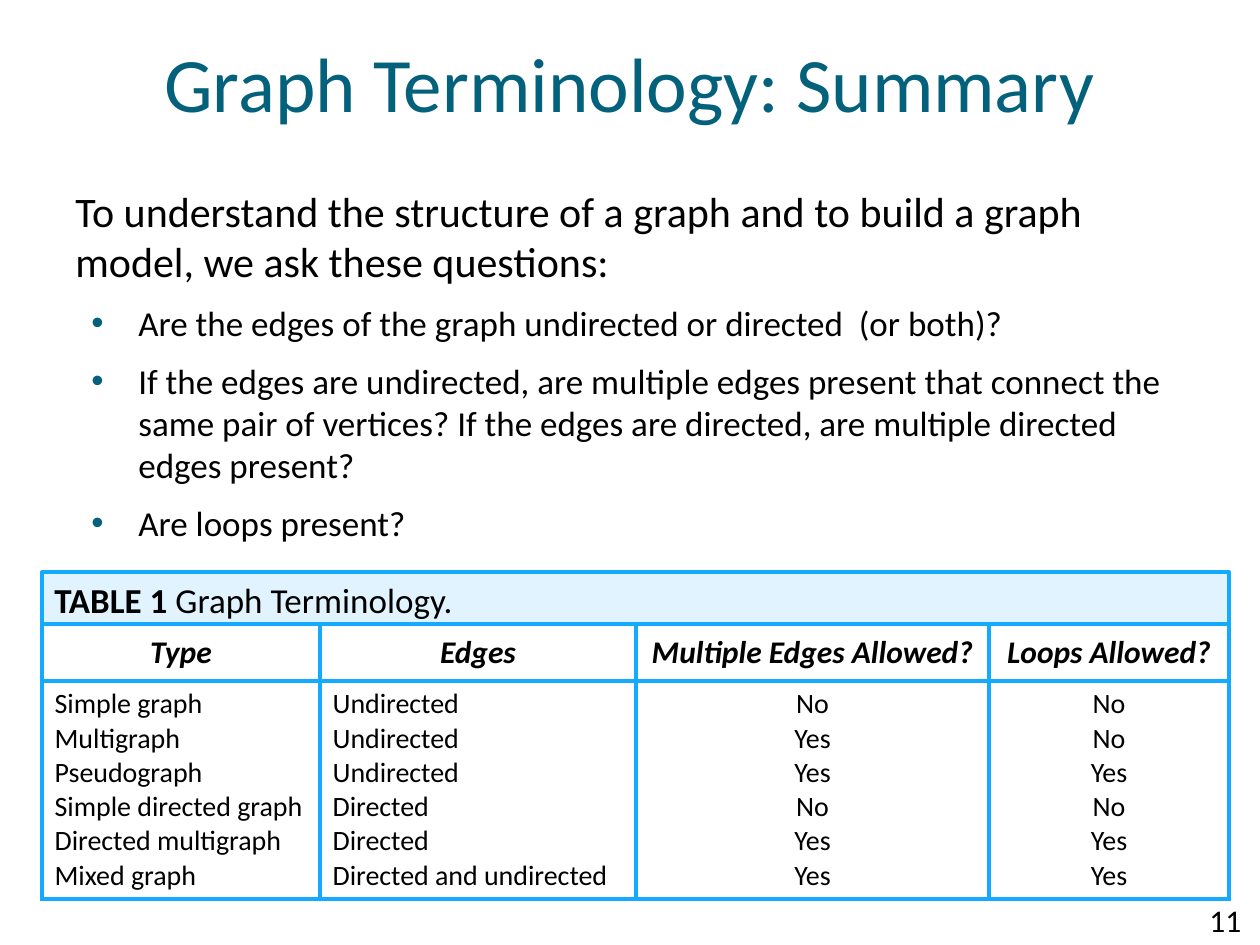
from dataclasses import dataclass

from lxml.etree import SubElement
from pptx import Presentation
from pptx.dml.color import RGBColor
from pptx.enum.shapes import MSO_SHAPE
from pptx.enum.text import MSO_ANCHOR as ANCHOR, PP_ALIGN as ALIGN
from pptx.oxml.ns import qn
from pptx.util import Emu, Pt


@dataclass(frozen=True)
class Theme:
    font: str = "Calibri"
    ink: str = "000000"
    accent: str = "04617B"
    border: str = "14AAFF"
    band: str = "E1F3FF"
    paper: str = "FFFFFF"
    title: int = 44
    lead: int = 24
    bullet: int = 20
    header: int = 18
    cell: int = 16
    rule: float = 2.25


T = Theme()

QUESTIONS = [
    "Are the edges of the graph undirected or directed  (or both)?",
    "If the edges are undirected, are multiple edges present that connect the "
    "same pair of vertices? If the edges are directed, are multiple directed "
    "edges present?",
    "Are loops present?",
]
HEADERS = ["Type", "Edges", "Multiple Edges Allowed?", "Loops Allowed?"]
GRAPHS = [
    ("Simple graph", "Undirected", "No", "No"),
    ("Multigraph", "Undirected", "Yes", "No"),
    ("Pseudograph", "Undirected", "Yes", "Yes"),
    ("Simple directed graph", "Directed", "No", "No"),
    ("Directed multigraph", "Directed", "Yes", "Yes"),
    ("Mixed graph", "Directed and undirected", "Yes", "Yes"),
]


def px(n):
    """Turn pixels, 126 to the inch, into EMU."""
    return Emu(round(n * 914400 / 126))


def rgb(color):
    return RGBColor.from_string(color)


def write(tf, text, size, color=T.ink, bold=False, italic=False,
          align=ALIGN.LEFT, before=0, after=0):
    """Add a paragraph, reusing an empty first one, and return it."""
    first = tf.paragraphs[0]
    p = tf.add_paragraph() if first.runs else first
    p.alignment = align
    p.space_before, p.space_after = Pt(before), Pt(after)
    add_run(p, text, size, color, bold, italic)
    return p


def add_run(p, text, size, color=T.ink, bold=False, italic=False):
    r = p.add_run()
    r.text = text
    f = r.font
    f.name, f.size, f.bold, f.italic = T.font, Pt(size), bold, italic
    f.color.rgb = rgb(color)


def add_bullet(p, indent, hanging):
    pPr = p._p.get_or_add_pPr()
    pPr.set("marL", str(px(indent)))
    pPr.set("indent", str(-px(hanging)))
    color = SubElement(pPr, qn("a:buClr"))
    SubElement(color, qn("a:srgbClr"), val=T.accent)
    SubElement(pPr, qn("a:buFont"), typeface="Arial")
    SubElement(pPr, qn("a:buChar"), char="•")


def add_box(slide, box, anchor=ANCHOR.TOP):
    tf = slide.shapes.add_textbox(*map(px, box)).text_frame
    tf.word_wrap = True
    tf.vertical_anchor = anchor
    return tf


def add_title(slide, box):
    tf = add_box(slide, box, ANCHOR.MIDDLE)
    write(tf, "Graph Terminology: Summary", T.title, T.accent, align=ALIGN.CENTER)


def add_questions(slide, box):
    tf = add_box(slide, box)
    gaps = dict(before=3, after=6)
    write(tf, "To understand the structure of a graph and to build a graph "
              "model, we ask these questions:", T.lead, **gaps)
    for question in QUESTIONS:
        p = write(tf, question, T.bullet, **gaps)
        p.level = 1
        add_bullet(p, 63, 47)


def add_caption(slide, box):
    sp = slide.shapes.add_shape(MSO_SHAPE.RECTANGLE, *map(px, box))
    sp.shadow.inherit = False
    sp.fill.solid()
    sp.fill.fore_color.rgb = rgb(T.band)
    sp.line.color.rgb = rgb(T.border)
    sp.line.width = Pt(T.rule)
    tf = sp.text_frame
    tf.word_wrap = True
    tf.vertical_anchor = ANCHOR.TOP
    p = write(tf, "TABLE 1 ", T.bullet, bold=True)
    add_run(p, "Graph Terminology.", T.bullet)


def style_cell(cell, anchor):
    cell.vertical_anchor = anchor
    tcPr = cell._tc.get_or_add_tcPr()
    for side in ("a:lnL", "a:lnR", "a:lnT", "a:lnB"):
        ln = SubElement(tcPr, qn(side), w=str(Pt(T.rule)))
        fill = SubElement(ln, qn("a:solidFill"))
        SubElement(fill, qn("a:srgbClr"), val=T.border)
    cell.fill.solid()
    cell.fill.fore_color.rgb = rgb(T.paper)


def add_graph_table(slide, box, widths, heights):
    table = slide.shapes.add_table(len(heights), len(widths), *map(px, box)).table
    table.first_row = table.horz_banding = False
    for row, height in zip(table.rows, heights):
        row.height = px(height)
    for i, (width, header, values) in enumerate(zip(widths, HEADERS, zip(*GRAPHS))):
        table.columns[i].width = px(width)
        head, body = table.cell(0, i), table.cell(1, i)
        style_cell(head, ANCHOR.MIDDLE)
        style_cell(body, ANCHOR.TOP)
        write(head.text_frame, header, T.header, bold=True, italic=True,
              align=ALIGN.CENTER)
        for value in values:
            write(body.text_frame, value, T.cell,
                  align=ALIGN.LEFT if i < 2 else ALIGN.CENTER)


def add_page_number(slide, box):
    write(add_box(slide, box), "11", T.header)


def main():
    prs = Presentation()
    prs.slide_width, prs.slide_height = px(1260), px(945)
    slide = prs.slides.add_slide(prs.slide_layouts[6])
    add_page_number(slide, (1197, 895, 63, 50))
    add_title(slide, (0, 0, 1260, 164))
    add_questions(slide, (63, 179, 1134, 368))
    add_caption(slide, (42, 572, 1187, 52))
    add_graph_table(slide, (42, 624, 1187, 275),
                    widths=(278, 316, 353, 240), heights=(57, 218))
    prs.save("out.pptx")


if __name__ == "__main__":
    main()
